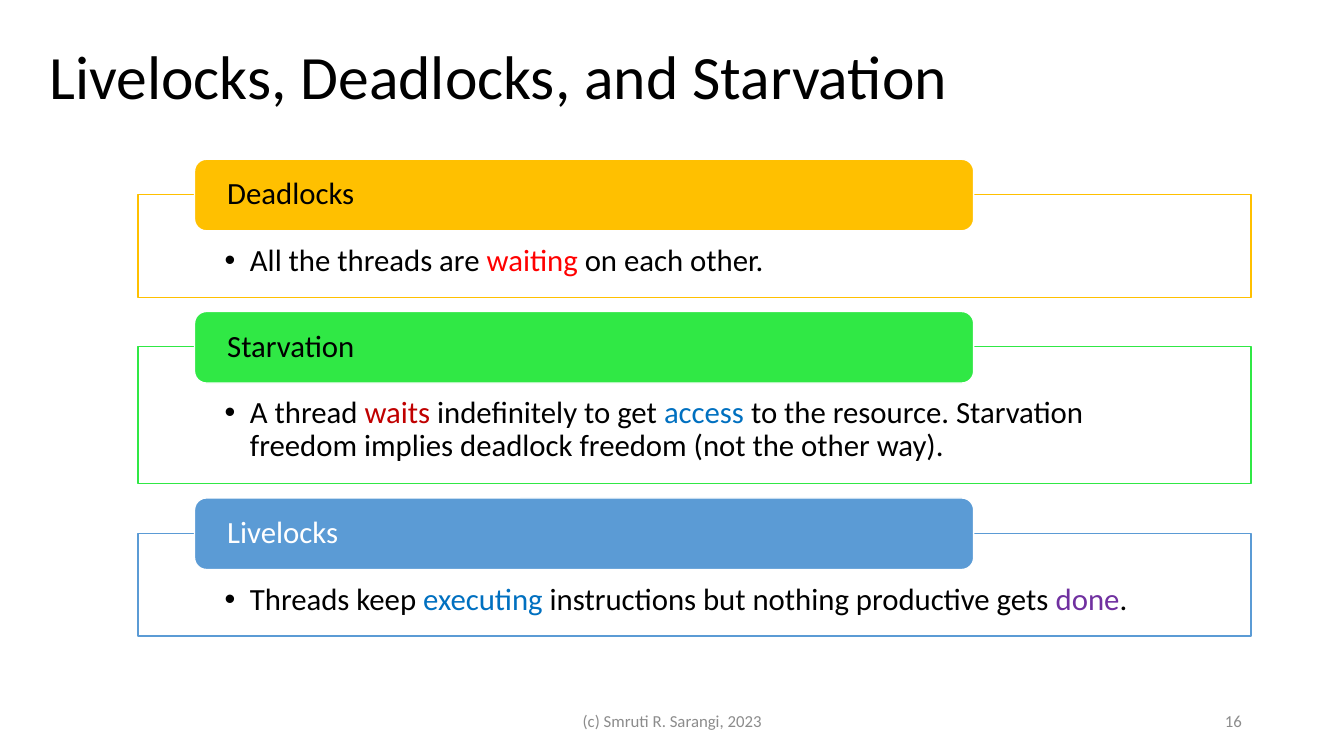
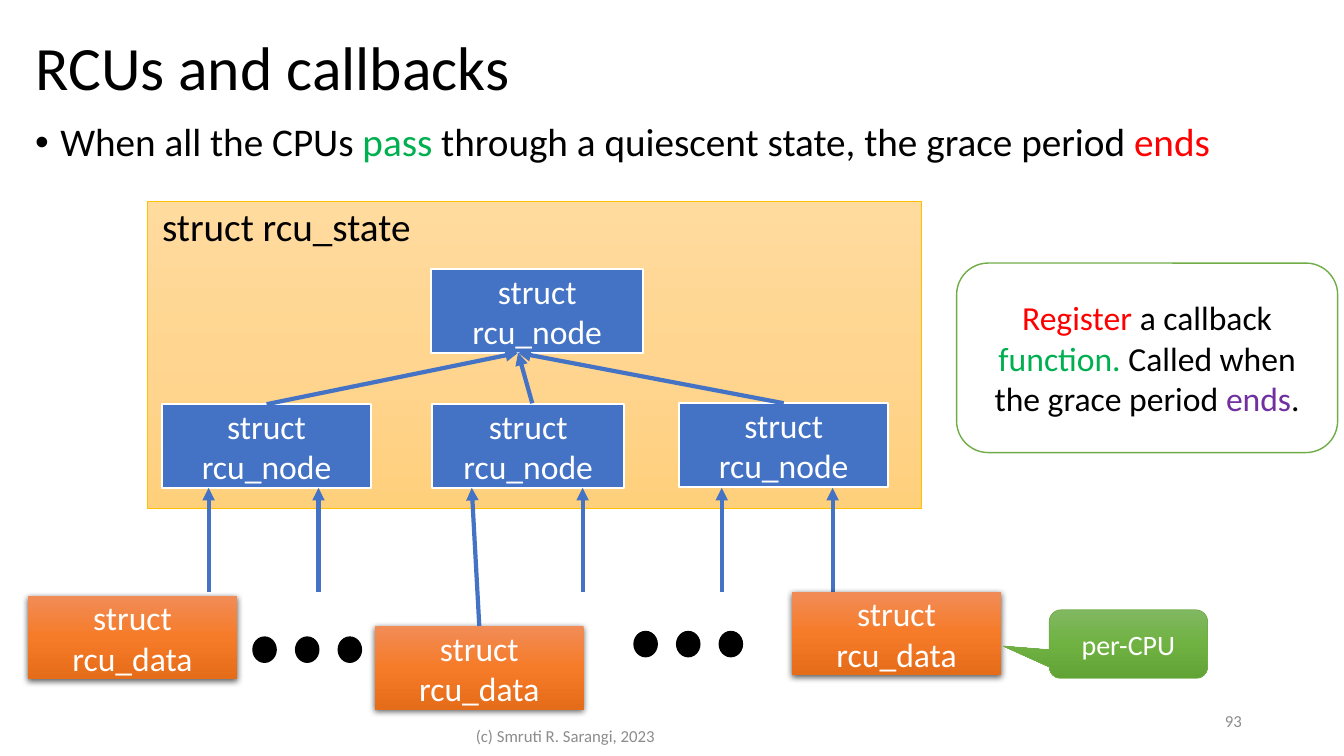
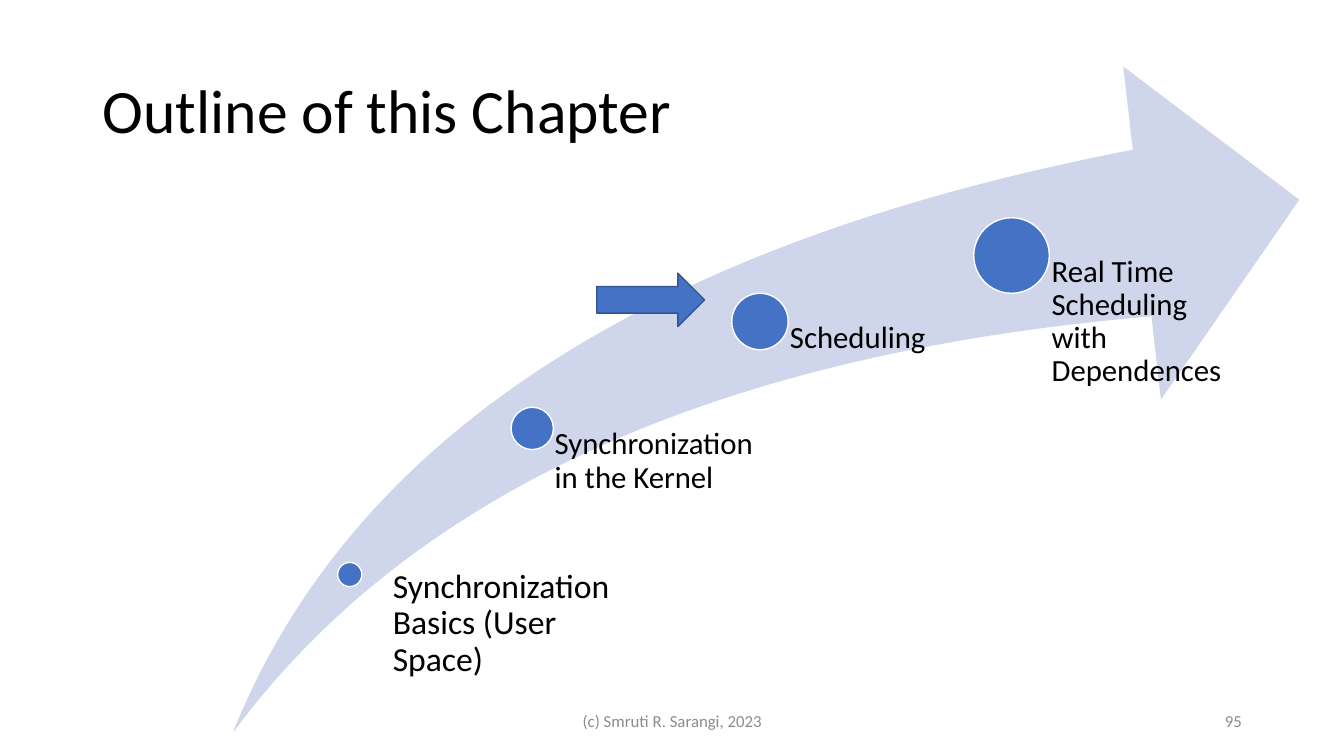
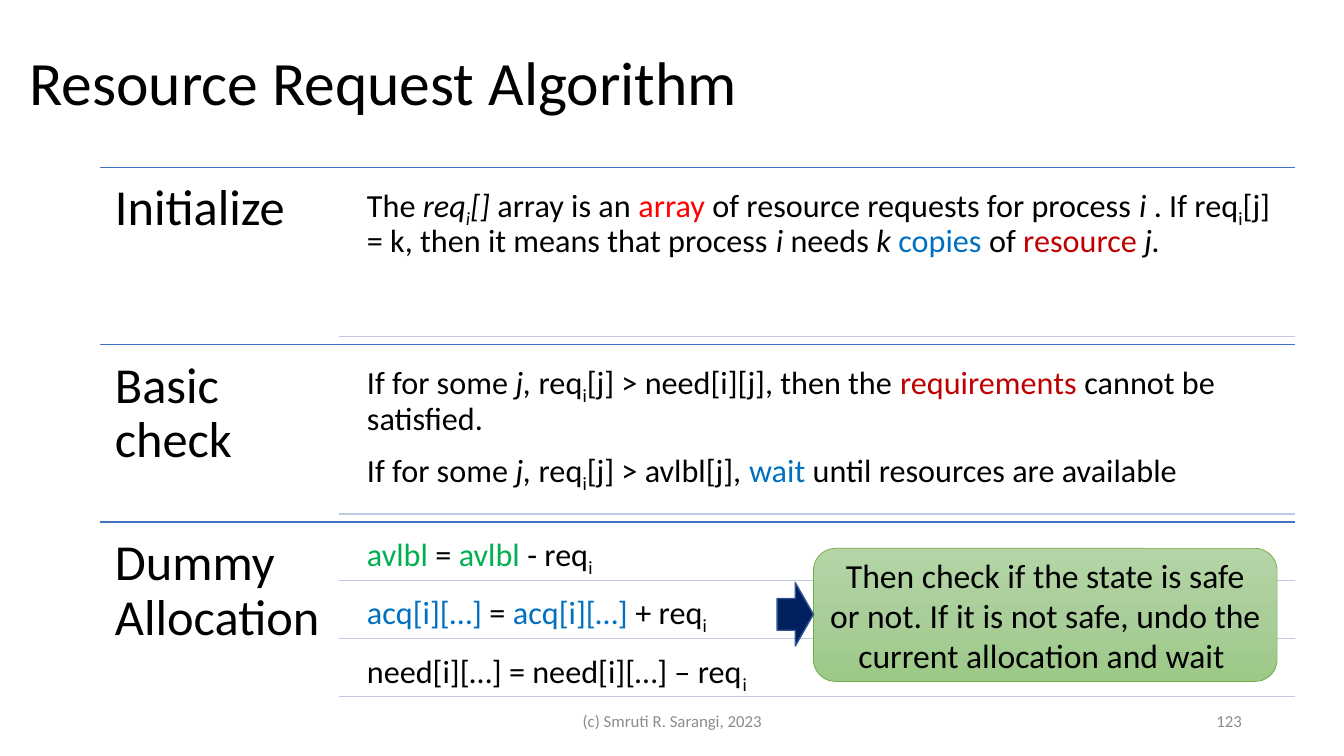
from dataclasses import dataclass

from lxml import etree
from pptx import Presentation
from pptx import util as u
from pptx.dml.color import RGBColor
from pptx.enum import shapes, text
from pptx.oxml.ns import qn

CELL = 0.1  # inches per grid column and row
SHAPE = shapes.MSO_SHAPE
ALIGN = text.PP_ALIGN
ANCHOR = text.MSO_ANCHOR


@dataclass(frozen=True)
class Theme:
    font: str = "Calibri"
    title: int = 44
    heading: int = 36
    lead: int = 28
    box: int = 24
    rule: int = 23
    body: int = 22
    tag: int = 20
    footer: int = 12
    black: str = "000000"
    white: str = "FFFFFF"
    grey: str = "8C8C8C"
    red: str = "FF0000"
    dark_red: str = "C00000"
    green: str = "00B050"
    blue: str = "0070C0"
    purple: str = "7030A0"
    navy: str = "002060"
    accent: str = "4472C4"
    accent_edge: str = "325491"
    pale_accent: str = "C1C9E4"
    swoosh: str = "CFD5EA"
    gold: str = "FFC000"
    lime: str = "30E845"
    sky: str = "5B9BD5"
    leaf: str = "70AD47"
    sand_blend: tuple = ("FFDB9E", "FFD590", "FFD07C")
    orange_blend: tuple = ("F18C57", "F67B28", "E56C19")
    leaf_blend: tuple = ("81B861", "6FB242", "62A336")
    mint_blend: tuple = ("B5D5A7", "AACE9A", "9CC987")


T = Theme()


@dataclass(frozen=True)
class Box:
    """A rectangle in grid cells."""
    x: float
    y: float
    w: float
    h: float

    def sub(self, dx, dy, w, h):
        return Box(self.x + dx, self.y + dy, w, h)

    def emu(self):
        return [cells(v) for v in (self.x, self.y, self.w, self.h)]


def cells(n):
    return u.Inches(n * CELL)


def rgb(value):
    return RGBColor.from_string(value)


def child(parent, tag, **attrs):
    el = etree.SubElement(parent, qn(tag))
    for name, value in attrs.items():
        el.set(name, str(value))
    return el


def add_run(p, run, size, color):
    """A run is a string, or a tuple of text and styles (colour, 'italic', 'sub')."""
    content, *styles = (run,) if isinstance(run, str) else run
    r = p.add_run()
    r.text = content
    r.font.name, r.font.size = T.font, u.Pt(size)
    for style in styles:
        if style == "italic":
            r.font.italic = True
        elif style == "sub":
            r._r.get_or_add_rPr().set("baseline", "-25000")
        else:
            color = style
    r.font.color.rgb = rgb(color)


def write(sp, paras, size, color=T.black, align=ALIGN.LEFT, anchor=ANCHOR.TOP,
          insets=(1, 0.5, 1, 0.5), spacing=None, after=0, bullet=False, wrap=True):
    """Fill a shape with paragraphs, each a list of runs; insets are in cells."""
    tf = sp.text_frame
    tf.auto_size = text.MSO_AUTO_SIZE.NONE
    tf.word_wrap, tf.vertical_anchor = wrap, anchor
    tf.margin_left, tf.margin_top, tf.margin_right, tf.margin_bottom = map(cells, insets)
    for i, runs in enumerate(paras):
        p = tf.add_paragraph() if i else tf.paragraphs[0]
        if bullet:
            pPr = p._p.get_or_add_pPr()
            pPr.set("marL", str(cells(2.5)))
            pPr.set("indent", str(-cells(2.5)))
            child(pPr, "a:buFont", typeface="Arial")
            child(pPr, "a:buChar", char="•")
        p.alignment = align
        if spacing:
            p.line_spacing = spacing
        p.space_after = u.Pt(after)
        for run in runs:
            add_run(p, run, size, color)


def label(s, box, paras, size, **fmt):
    sp = s.shapes.add_textbox(*box.emu())
    write(sp, paras, size, **fmt)
    return sp


def blend(sp, colors):
    """Vertical three-stop gradient."""
    sp.fill.gradient()
    sp.fill.gradient_angle = 270
    stops = sp._element.spPr.find(qn("a:gradFill")).find(qn("a:gsLst"))
    for stop in list(stops):
        stops.remove(stop)
    for pos, color in zip((0, 50000, 100000), colors):
        child(child(stops, "a:gs", pos=pos), "a:srgbClr", val=color)


def shape(s, kind, box, fill, line=None, width=1.0, adj=()):
    sp = s.shapes.add_shape(kind, *box.emu())
    sp.shadow.inherit = False
    if isinstance(fill, tuple):
        blend(sp, fill)
    else:
        sp.fill.solid()
        sp.fill.fore_color.rgb = rgb(fill)
    if line:
        sp.line.color.rgb = rgb(line)
        sp.line.width = u.Pt(width)
    else:
        sp.line.fill.background()
    for i, value in enumerate(adj):
        sp.adjustments[i] = value
    return sp


def block(s, kind, box, runs, size, fill, line=None, width=1.0, color=T.white, adj=()):
    """Shape with centred text."""
    sp = shape(s, kind, box, fill, line, width, adj)
    write(sp, [runs], size, color, ALIGN.CENTER, ANCHOR.MIDDLE)
    return sp


def drop_shadow(sp):
    effects = sp._element.spPr.find(qn("a:effectLst"))
    shadow = child(effects, "a:outerShdw", blurRad=u.Pt(4.5), dist=u.Pt(1.5),
                   dir=5400000, algn="ctr", rotWithShape=0)
    child(child(shadow, "a:srgbClr", val=T.black), "a:alpha", val=63000)


def connect(s, start, end, color, width, arrow=False):
    """Line between points in cells; a shape as start is joined at its top."""
    joined = not isinstance(start, tuple)
    x, y = end if joined else start
    c = s.shapes.add_connector(shapes.MSO_CONNECTOR.STRAIGHT, cells(x), cells(y),
                               cells(end[0]), cells(end[1]))
    if joined:
        c.begin_connect(start, 0)
    c.line.color.rgb = rgb(color)
    c.line.width = u.Pt(width)
    if arrow:
        child(c.line._get_or_add_ln(), "a:tailEnd", type="triangle")
    child(c._element.spPr, "a:effectLst")


def add_slide(prs, title, at, number, footer_at=(44.2, 69.5)):
    s = prs.slides.add_slide(prs.slide_layouts[5])
    sp = s.shapes.title
    sp.left, sp.top, sp.width, sp.height = Box(*at, 115, 14.5).emu()
    write(sp, [[title]], T.title, anchor=ANCHOR.MIDDLE, spacing=0.9)
    for box, content, align in (
            (Box(*footer_at, 45, 4), "(c) Smruti R. Sarangi, 2023", ALIGN.CENTER),
            (Box(94.2, 69.5, 30, 4), str(number), ALIGN.RIGHT)):
        label(s, box, [[content]], T.footer, color=T.grey, align=align,
              anchor=ANCHOR.MIDDLE)
    return s


# Livelocks, deadlocks and starvation

def definition(s, box, name, runs, color, name_color):
    """Outlined frame with a coloured tab over its top edge."""
    frame = shape(s, SHAPE.RECTANGLE, box, T.white, color)
    write(frame, [runs], T.body, insets=(8.6, 5, 8.6, 1.7), spacing=0.9, bullet=True)
    tab = shape(s, SHAPE.ROUNDED_RECTANGLE, box.sub(5.6, -3.5, 77.3, 7.1), color, T.white)
    write(tab, [[name]], T.body, name_color, anchor=ANCHOR.MIDDLE,
          insets=(2.9, 0, 2.9, 0), spacing=0.9)


def definitions_slide(prs):
    s = add_slide(prs, "Livelocks, Deadlocks, and Starvation", (3.9, 0.6), 16)
    entries = (
        ("Deadlocks", 10.2, T.gold, T.black,
         ["All the threads are ", ("waiting", T.red), " on each other."]),
        ("Starvation", 13.6, T.lime, T.black,
         ["A thread ", ("waits", T.dark_red), " indefinitely to get ",
          ("access", T.blue), " to the resource. Starvation freedom implies "
          "deadlock freedom (not the other way)."]),
        ("Livelocks", 10.2, T.sky, T.white,
         ["Threads keep ", ("executing", T.blue),
          " instructions but nothing productive gets ", ("done", T.purple), "."]),
    )
    top, gap = 19.3, 4.9
    for name, height, color, name_color, runs in entries:
        definition(s, Box(13.7, top, 110.4, height), name, runs, color, name_color)
        top += height + gap


# RCUs and callbacks

def state_tree(s, box):
    shape(s, SHAPE.RECTANGLE, box, T.sand_blend, T.gold, 0.5)
    label(s, box.sub(0.5, -0.4, 27, 5.7), [["struct rcu_state"]], T.lead, wrap=False)
    _, left, _, right = [
        block(s, SHAPE.RECTANGLE, box.sub(x, y, w, 8.3), ["struct rcu_node"], T.box,
              T.accent, T.white, 1.5)
        for x, y, w in ((28.2, 6.7, 21), (1.5, 20.1, 20.7),
                        (28.3, 20.1, 19), (52.8, 20, 20.7))]
    for start in (left, (box.x + 38.2, box.y + 20), right):
        connect(s, start, (box.x + 36.8, box.y + 15), T.accent, 3, arrow=True)


def data_row(s, box):
    """Per-CPU data blocks, the dots between them and the arrows up to the tree."""
    tip = box.y - 10.3
    for dx in (17.9, 28.8, 55, 68.8, 79.8):
        connect(s, (box.x + dx, box.y), (box.x + dx, tip), T.accent, 3, arrow=True)
    blocks = []
    for dx, dy in ((0, 0.4), (34.4, 3.4), (75.8, 0)):
        sp = block(s, SHAPE.RECTANGLE, box.sub(dx, dy, 20.7, 8.3), ["struct rcu_data"],
                   T.box, T.orange_blend)
        drop_shadow(sp)
        blocks.append(sp)
    connect(s, blocks[1], (box.x + 44, tip), T.accent, 3, arrow=True)
    for dx, dy in ((22.3, 4.5), (60.1, 3.95)):
        for i in range(3):
            shape(s, SHAPE.OVAL, box.sub(dx + 4.23 * i, dy, 2.3, 2.5), T.black, T.black)


def callbacks_slide(prs):
    s = add_slide(prs, "RCUs and callbacks", (2.5, -0.2), 93, footer_at=(33.6, 71))
    label(s, Box(2.5, 11.7, 123.6, 10),
          [["When all the CPUs ", ("pass", T.green),
            " through a quiescent state, the grace period ", ("ends", T.red)]],
          T.lead, spacing=0.9, bullet=True)
    state_tree(s, Box(14.6, 20, 76.8, 30.4))
    data_row(s, Box(2.8, 58.7, 96.5, 11.7))
    block(s, SHAPE.ROUNDED_RECTANGLE, Box(94.9, 26.1, 37.8, 18.8),
          [("Register", T.red), " a callback ", ("function. ", T.green),
           "Called when the grace period ", ("ends", T.purple), "."],
          T.box, T.white, T.leaf, color=T.black)
    block(s, SHAPE.ROUNDED_RECTANGULAR_CALLOUT, Box(104.1, 60.5, 15.7, 6.8), ["per-CPU"],
          T.tag, T.leaf_blend, T.leaf, 0.5, adj=(-0.79, 0.03, 0.17))


# Outline

def roadmap(s, box):
    """Swoosh arrow with growing milestones along it."""
    shape(s, SHAPE.SWOOSH_ARROW, box, T.swoosh, adj=(0.25, 0.25))
    milestones = (
        ("Synchronization Basics (User Space)", 10.4, 49.2, 2.4, (14.6, 49.9), 23.7, T.box),
        ("Synchronization in the Kernel", 27.6, 33.8, 4.2, None, 22.2, T.body),
        ("Scheduling", 49.5, 22.5, 5.6, None, 22.2, T.body),
        ("Real Time Scheduling with Dependences", 73.5, 15, 7.5, None, 22.2, T.body),
    )
    for name, x, y, d, corner, width, size in milestones:
        shape(s, SHAPE.OVAL, box.sub(x, y, d, d), T.accent, T.white)
        dx, dy = corner or (x + d / 2, y + d / 2)
        label(s, box.sub(dx, dy, width, box.h - dy), [[name]], size,
              insets=(0.53 * d, 0, 0, 0), spacing=0.9)


def outline_slide(prs):
    s = add_slide(prs, "Outline of this Chapter", (9.2, 4), 95)
    roadmap(s, Box(23.1, 6.6, 105.8, 66.1))
    shape(s, SHAPE.RIGHT_ARROW, Box(59.2, 27.1, 10.7, 5.3), T.accent, T.accent_edge)


# Resource request algorithm

def step(s, box, name, items):
    """Heading in the left fifth; ruled items, 20 gaps high each, on the right."""
    right, split = box.x + box.w, box.w / 5
    connect(s, (box.x, box.y), (right, box.y), T.accent, 1)
    label(s, box.sub(0, 0, split, box.h), [[name]], T.heading,
          insets=(1.5,) * 4, spacing=0.9)
    gap = box.h / (21 * len(items) + 1)
    for i, paras in enumerate(items):
        dy = gap + 21 * gap * i
        label(s, box.sub(split + 1.8, dy, box.w - split - 1.8, 20 * gap), paras, T.rule,
              insets=(1,) * 4, spacing=0.9, after=10 if len(paras) > 1 else 0)
        y = box.y + dy + 20 * gap
        connect(s, (box.x + split, y), (right, y), T.pale_accent, 1)


def algorithm_slide(prs):
    s = add_slide(prs, "Resource Request Algorithm", (1.9, 1.2), 123)
    sub_i = ("i", "sub")
    some_j = ["If for some ", ("j, ", "italic"), "req", sub_i]
    steps = (
        ("Initialize", [[[
            "The ", ("req", "italic"), ("i", "italic", "sub"), ("[] ", "italic"),
            "array is an ", ("array", T.red), " of resource requests for process ",
            ("i ", "italic"), ". If req", sub_i, "[j] = k, then it means that process ",
            ("i ", "italic"), "needs ", ("k ", "italic"), ("copies", T.blue), " of ",
            ("resource ", T.dark_red), ("j.", "italic")]]]),
        ("Basic check", [[
            some_j + ["[j] > need[i][j], then the ", ("requirements", T.dark_red),
                      " cannot be satisfied."],
            some_j + ["[j] > avlbl[j], ", ("wait", T.blue),
                      " until resources are available"]]]),
        ("Dummy Allocation", [
            [[("avlbl", T.green), " = ", ("avlbl", T.green), " - req", sub_i]],
            [[("acq[i][…] ", T.blue), "= ", ("acq[i][…] ", T.blue), "+ req", sub_i]],
            [["need[i][…] = need[i][…] – req", sub_i]]]),
    )
    height = 17.6
    for i, (name, items) in enumerate(steps):
        step(s, Box(9.9, 16.6 + height * i, 118.6, height), name, items)
    block(s, SHAPE.ROUNDED_RECTANGLE, Box(80.7, 54.4, 46, 13.2),
          ["Then check if the state is safe or not. If it is not safe, undo the "
           "current allocation and wait "],
          T.box, T.mint_blend, T.leaf, 0.5, color=T.black)
    shape(s, SHAPE.RIGHT_ARROW, Box(77.1, 57.8, 3.6, 6.3), T.navy, T.accent_edge)


def main():
    prs = Presentation()
    prs.slide_width, prs.slide_height = cells(133.33), cells(75)
    definitions_slide(prs)
    callbacks_slide(prs)
    outline_slide(prs)
    algorithm_slide(prs)
    prs.save("out.pptx")


if __name__ == "__main__":
    main()
